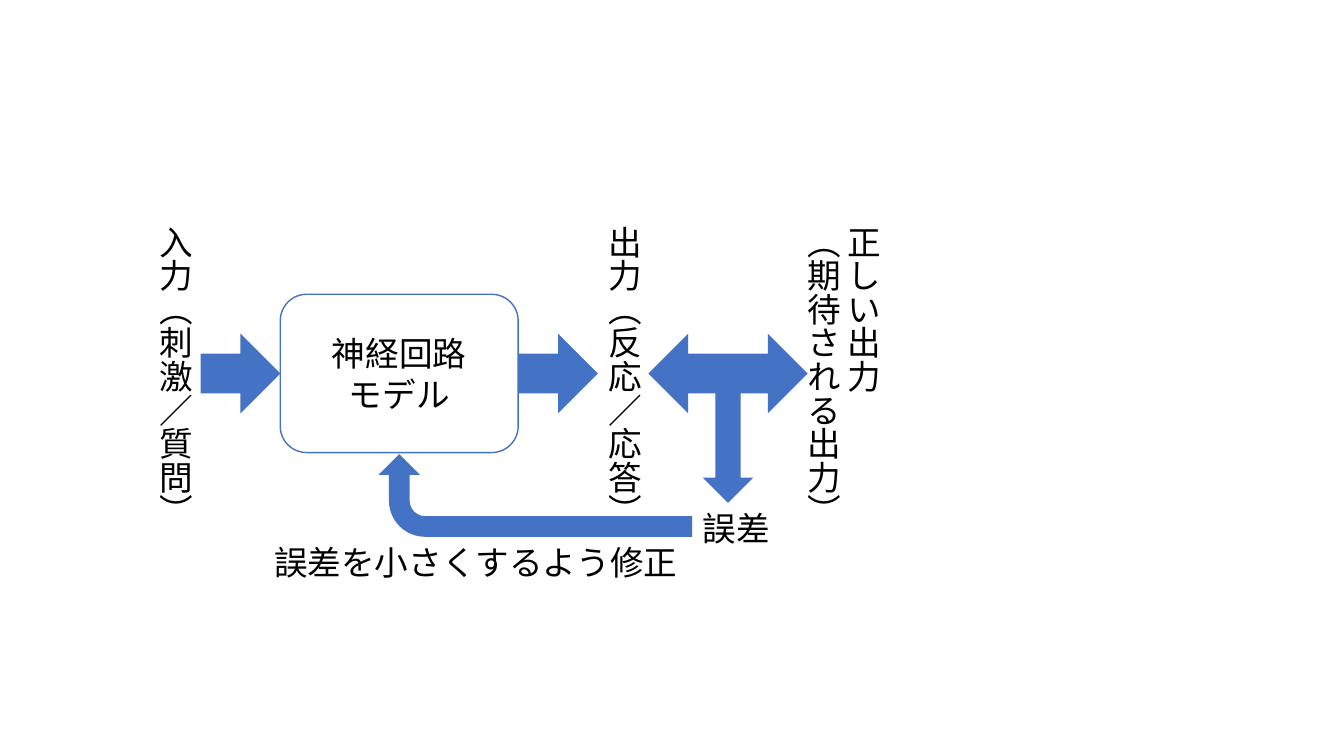
"""Build a slide showing how a neural network model learns from its output error."""
import pptx
import pptx.util
import pptx.dml.color
import pptx.enum.shapes
import pptx.enum.text
import pptx.oxml.ns
import lxml.etree

Inches = pptx.util.Inches
ShapeType = pptx.enum.shapes.MSO_SHAPE
FONT = "Noto Sans CJK JP"
COLORS = {
    name: pptx.dml.color.RGBColor.from_string(value)
    for name, value in {"blue": "4472C4", "white": "FFFFFF", "black": "000000"}.items()
}


def write_lines(text_frame, lines, alignment):
    """Write one paragraph per line in the slide's font."""
    text_frame.text = "\n".join(lines)
    for paragraph in text_frame.paragraphs:
        paragraph.alignment = alignment
        paragraph.font.size = pptx.util.Pt(24)
        paragraph.font.color.rgb = COLORS["black"]
        paragraph.font.name = FONT
        properties = paragraph._p.pPr.find(pptx.oxml.ns.qn("a:defRPr"))
        east_asian = lxml.etree.SubElement(properties, pptx.oxml.ns.qn("a:ea"))
        east_asian.set("typeface", FONT)


def add_block_arrow(shapes, kind, left, top, width, height, rotation):
    """Add a solid blue block arrow."""
    arrow = shapes.add_shape(kind, Inches(left), Inches(top), Inches(width), Inches(height))
    arrow.rotation = rotation
    arrow.shadow.inherit = False
    arrow.fill.solid()
    arrow.fill.fore_color.rgb = COLORS["blue"]
    arrow.line.fill.background()


presentation = pptx.Presentation()
presentation.slide_width = Inches(13.33)
presentation.slide_height = Inches(7.5)
slide = presentation.slides.add_slide(presentation.slide_layouts[6])

labels = [
    (["入力（刺激／質問）"], 1.38, 2.14, 0.61, 3.13, "eaVert"),
    (["出力（反応／応答）"], 5.83, 2.14, 0.61, 3.13, "eaVert"),
    (["正しい出力", "（期待される出力）"], 7.8, 2.14, 1.01, 3.13, "eaVert"),
    (["誤差"], 6.87, 4.99, 0.88, 0.5, "horz"),
    (["誤差を小さくするよう修正"], 2.62, 5.33, 4.24, 0.5, "horz"),
]
for lines, left, top, width, height, direction in labels:
    label = slide.shapes.add_textbox(Inches(left), Inches(top), Inches(width), Inches(height))
    label.text_frame.word_wrap = False
    label.text_frame.auto_size = pptx.enum.text.MSO_AUTO_SIZE.SHAPE_TO_FIT_TEXT
    label.text_frame._txBody.bodyPr.set("vert", direction)
    write_lines(label.text_frame, lines, pptx.enum.text.PP_ALIGN.LEFT)

model = slide.shapes.add_shape(
    ShapeType.ROUNDED_RECTANGLE, Inches(2.78), Inches(2.92), Inches(2.36), Inches(1.57)
)
model.shadow.inherit = False
model.fill.solid()
model.fill.fore_color.rgb = COLORS["white"]
model.line.color.rgb = COLORS["blue"]
model.line.width = pptx.util.Pt(1)
model.text_frame.vertical_anchor = pptx.enum.text.MSO_ANCHOR.MIDDLE
write_lines(model.text_frame, ["神経回路", "モデル"], pptx.enum.text.PP_ALIGN.CENTER)

comparison = slide.shapes.add_group_shape()
flow_arrows = [
    (slide.shapes, 1.99, 0),
    (slide.shapes, 5.14, 0),
    (comparison.shapes, 7.22, 0),
    (comparison.shapes, 6.43, 180),
]
for shapes, left, rotation in flow_arrows:
    add_block_arrow(shapes, ShapeType.RIGHT_ARROW, left, 3.31, 0.79, 0.79, rotation)

add_block_arrow(slide.shapes, ShapeType.RIGHT_ARROW, 6.49, 4.01, 1.46, 0.5, 90)
add_block_arrow(slide.shapes, ShapeType.BENT_ARROW, 4.9, 3.36, 0.82, 3.11, 270)

presentation.save("out.pptx")
